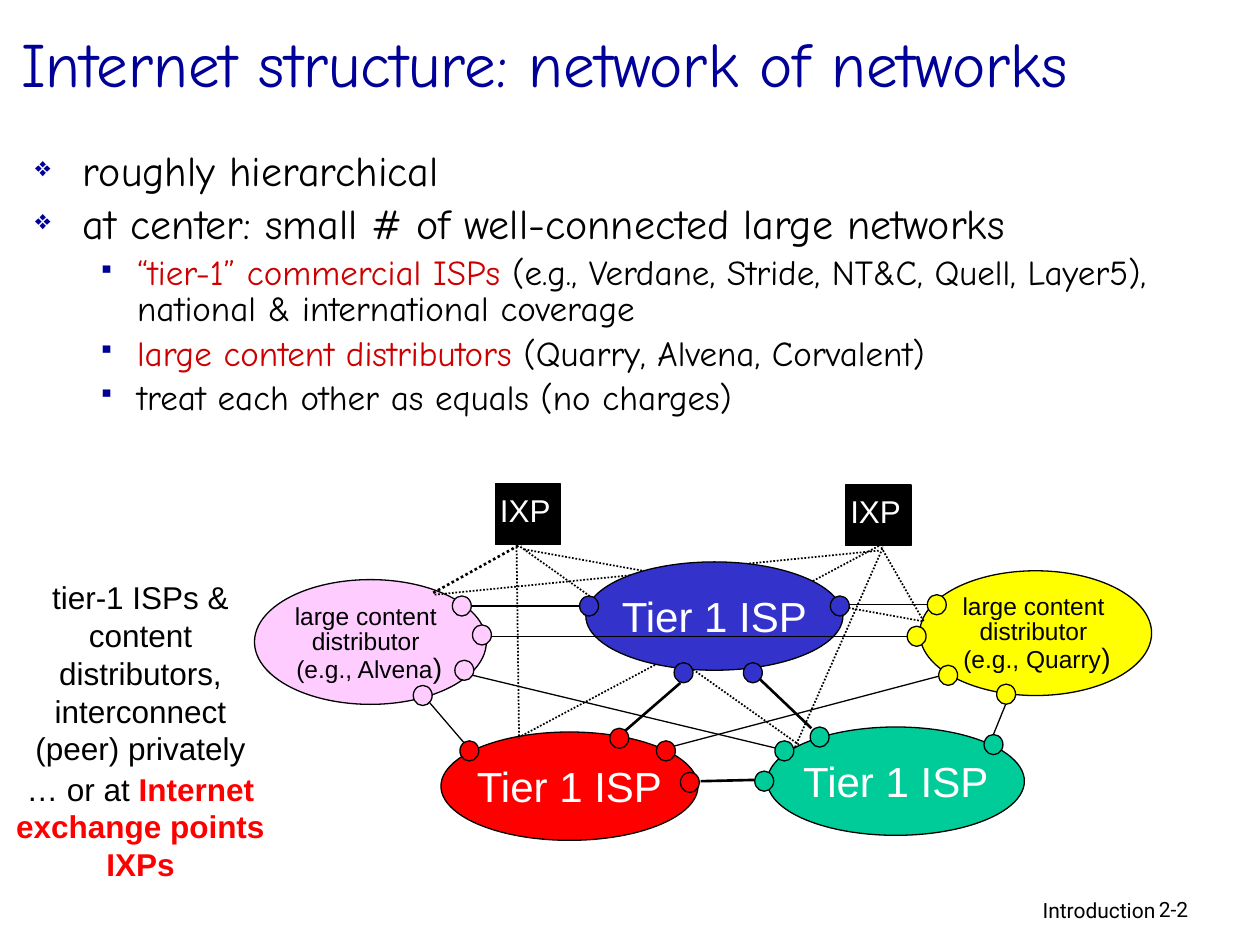
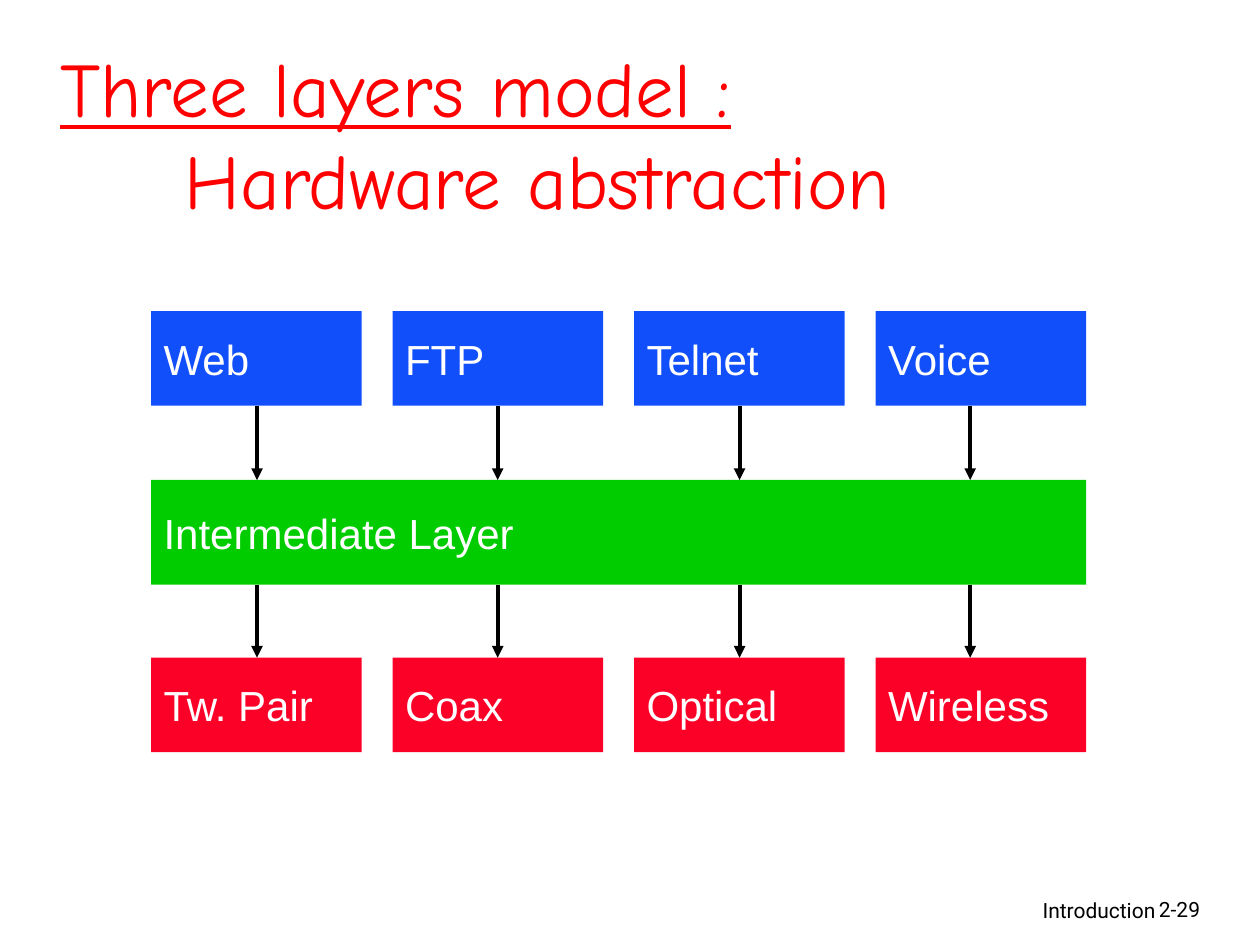
from dataclasses import dataclass

from lxml import etree
from pptx import Presentation
from pptx import util as u
from pptx.dml.color import RGBColor
from pptx.enum import dml, shapes, text
from pptx.oxml import ns

OVAL, RECT = shapes.MSO_SHAPE.OVAL, shapes.MSO_SHAPE.RECTANGLE
CENTER, RIGHT = text.PP_ALIGN.CENTER, text.PP_ALIGN.RIGHT
MIDDLE = text.MSO_ANCHOR.MIDDLE


@dataclass(frozen=True)
class Theme:
    # Fonts
    hand: str = "Comic Neue"
    plain: str = "Arial"
    foot: str = "Roboto"
    # Colours
    black: str = "000000"
    white: str = "FFFFFF"
    navy: str = "000099"
    accent: str = "CC0000"
    red: str = "FF0000"
    teal: str = "00CC99"
    yellow: str = "FFFF00"
    pink: str = "FFCCFF"
    indigo: str = "3333CC"
    app: str = "114FFB"
    middle: str = "00CC00"
    medium: str = "FC0128"
    # Type sizes
    banner: int = 44
    title: int = 36
    label: int = 24
    sub: int = 20
    note: int = 18
    caption: int = 14
    footer: int = 12


T = Theme()


class Deck:
    """Holds the presentation, its theme and the slide being built."""

    def __init__(self):
        self.prs = Presentation()
        self.prs.slide_width, self.prs.slide_height = u.Inches(10), u.Inches(7.5)
        self.s = None

    def slide(self, number):
        self.s = self.prs.slides.add_slide(self.prs.slide_layouts[6])
        foot = dict(size=T.footer, name=T.foot)
        self.text((6.1, 7.07, 3.17, 0.31), ["Introduction"],
                  para=dict(alignment=RIGHT), **foot)
        self.text((9.1, 7.07, 0.74, 0.3), [number], **foot)

    def fill_text(self, tf, paras, para=None, **base):
        """Each paragraph is a string or a list of (text, format) runs."""
        for i, runs in enumerate(paras):
            p = tf.paragraphs[0] if i == 0 else tf.add_paragraph()
            for key, value in (para or {}).items():
                setattr(p, key, value)
            for words, fmt in [(runs, {})] if isinstance(runs, str) else runs:
                r = p.add_run()
                r.text = words
                look = {"name": T.plain, "color": T.black, **base, **fmt}
                r.font.color.rgb = RGBColor.from_string(look.pop("color"))
                look["size"] = u.Pt(look["size"])
                for key, value in look.items():
                    setattr(r.font, key, value)

    def text(self, box, paras, frame=None, **fmt):
        tf = self.s.shapes.add_textbox(*map(u.Inches, box)).text_frame
        for key, value in {"word_wrap": True, **(frame or {})}.items():
            setattr(tf, key, value)
        self.fill_text(tf, paras, **fmt)
        return tf

    def bullets(self, box, items):
        """Each item is (level, runs)."""
        levels = [dict(mark="❖", left=0.38, hang=0.38, size=T.label, before=6),
                  dict(mark="▪", left=0.81, hang=0.31, size=T.sub, before=5)]
        runs = [[(words, {"size": levels[level]["size"], **fmt})
                 for words, fmt in parts] for level, parts in items]
        tf = self.text(box, runs, name=T.hand, para=dict(line_spacing=0.85))
        for i, (p, (level, _)) in enumerate(zip(tf.paragraphs, items)):
            style = levels[level]
            p.level = level
            p.space_before = u.Pt(style["before"] if i else 0)
            self.indent(p, style["left"], -style["hang"])
            pPr = p._p.get_or_add_pPr()
            color = etree.SubElement(pPr, ns.qn("a:buClr"))
            etree.SubElement(color, ns.qn("a:srgbClr"), val=T.navy)
            etree.SubElement(pPr, ns.qn("a:buSzPct"), val="65000")
            etree.SubElement(pPr, ns.qn("a:buChar"), char=style["mark"])

    def indent(self, p, left, first=0):
        pPr = p._p.get_or_add_pPr()
        pPr.set("marL", str(u.Inches(left)))
        pPr.set("indent", str(u.Inches(first)))

    def shape(self, kind, box, fill, label=None, outline=True, para=None):
        sp = self.s.shapes.add_shape(kind, *map(u.Inches, box))
        sp.shadow.inherit = False
        sp.fill.solid()
        sp.fill.fore_color.rgb = RGBColor.from_string(fill)
        if outline:
            sp.line.color.rgb = RGBColor.from_string(T.black)
            sp.line.width = u.Pt(0.75)
        else:
            sp.line.fill.background()
        if label:
            tf = sp.text_frame
            for key, value in dict(word_wrap=False, vertical_anchor=MIDDLE).items():
                setattr(tf, key, value)
            self.fill_text(tf, [label], size=T.label, color=T.white,
                           para=para or dict(alignment=text.PP_ALIGN.LEFT))

    def line(self, x1, y1, x2, y2, width=0.75, dash=None, arrow=False):
        c = self.s.shapes.add_connector(
            shapes.MSO_CONNECTOR.STRAIGHT, *map(u.Inches, (x1, y1, x2, y2)))
        c.line.color.rgb = RGBColor.from_string(T.black)
        c.line.width = u.Pt(width)
        if dash:
            c.line.dash_style = dash
        spPr = c._element.spPr
        if arrow:
            etree.SubElement(spPr.find(ns.qn("a:ln")), ns.qn("a:tailEnd"),
                             type="triangle")
        etree.SubElement(spPr, ns.qn("a:effectLst"))


def internet_structure(d):
    d.slide("2-2")
    d.text((0.07, 0.14, 9.8, 0.71), ["Internet structure: network of networks"],
           frame=dict(vertical_anchor=MIDDLE),
           size=T.title, name=T.hand, color=T.navy)
    key = dict(color=T.accent)
    d.bullets((0.18, 1.16, 9.23, 5.08), [
        (0, [("roughly hierarchical", {})]),
        (0, [("at center: small # of well-connected large networks", {})]),
        (1, [("“tier-1” commercial ISPs ", key),
             ("(e.g., Verdane, Stride, NT&C, Quell, Layer5), "
              "national & international coverage", {})]),
        (1, [("large content distributors", key),
             (" (Quarry, Alvena, Corvalent)", {})]),
        (1, [("treat each other as equals (no charges)", {})]),
    ])

    def tier1(x, y, fill):
        d.shape(OVAL, (x, y, 2.04, 0.86), fill, "Tier 1 ISP",
                para=dict(alignment=CENTER))

    # Networks
    tier1(3.5, 5.81, T.red)
    tier1(6.09, 5.77, T.teal)
    for x, y, fill, label_box, name in [
            (7.3, 4.53, T.yellow, (7.53, 4.68, 1.4, 0.73), "Quarry"),
            (2.02, 4.6, T.pink, (2.22, 4.76, 1.42, 0.73), "Alvena")]:
        d.shape(OVAL, (x, y, 1.84, 0.99), fill)
        d.text(label_box,
               ["large content ", "distributor ",
                [(f"(e.g., {name}", {}), (")", dict(size=16))]],
               frame=dict(word_wrap=False), size=T.caption,
               para=dict(alignment=CENTER, line_spacing=0.85))

    # Exchange points and their dotted links
    for x, y in [(3.93, 3.84), (6.71, 3.85)]:
        d.shape(RECT, (x, y, 0.52, 0.48), T.black)
        d.text((x - 0.06, y + 0.01, 0.6, 0.4), ["IXP"],
               frame=dict(word_wrap=False), size=T.note, color=T.white)
    dots = dml.MSO_LINE.ROUND_DOT
    d.line(4.15, 4.31, 3.43, 4.71, 1.5, dots)
    for ends in [(4.1, 4.34, 4.12, 5.86), (4.13, 4.34, 6.34, 5.91),
                 (4.16, 4.36, 7.32, 4.93), (7.33, 4.93, 6.98, 4.32),
                 (6.31, 5.93, 7.01, 4.34), (4.14, 5.84, 6.98, 4.33),
                 (3.45, 4.72, 6.98, 4.37)]:
        d.line(*ends, 1, dots)
    tier1(4.65, 4.46, T.indigo)

    # Private peering links: thin to distributors, thick between tier-1 ISPs
    peering = {
        0.75: [(5.28, 5.94, 7.59, 5.33), (6.68, 4.8, 7.49, 4.8),
               (4.64, 4.81, 3.66, 4.81), (3.67, 5.34, 6.21, 5.95),
               (8.01, 5.52, 7.86, 5.89), (3.37, 5.53, 3.73, 5.95),
               (3.82, 5.05, 7.28, 5.05)],
        1.5: [(5.56, 6.2, 5.99, 6.19), (6.02, 5.38, 6.44, 5.78),
              (4.95, 5.81, 5.4, 5.42)],
    }
    for width, links in peering.items():
        for ends in links:
            d.line(*ends, width)

    # Ports
    ports = {
        T.teal: [(6.43, 5.77), (5.99, 6.12), (6.15, 5.88), (7.81, 5.83)],
        T.indigo: [(5.9, 5.26), (5.35, 5.26), (6.59, 4.73), (4.6, 4.73)],
        T.red: [(4.84, 5.78), (5.4, 6.13), (5.21, 5.88), (3.65, 5.88)],
        T.yellow: [(7.36, 4.72), (7.91, 5.43), (7.45, 5.28), (7.2, 4.97)],
        T.pink: [(3.59, 4.73), (3.75, 4.96), (3.28, 5.44), (3.61, 5.24)],
    }
    for fill, spots in ports.items():
        for x, y in spots:
            d.shape(OVAL, (x, y, 0.15, 0.16), fill)

    # Side note
    note = dict(size=T.note, para=dict(alignment=CENTER))
    d.text((0, 4.54, 2.23, 1.6),
           ["tier-1 ISPs &",
            "content distributors, interconnect (peer) privately"], **note)
    d.text((0, 6.06, 2.23, 1),
           [[("… or at ", {}),
             ("Internet exchange points IXPs", dict(color=T.red, bold=True))]],
           **note)


def three_layers(d):
    d.slide("2-29")
    tf = d.text((0.38, 0.43, 8.5, 1.25),
                [[("Three layers model :", dict(underline=True))],
                 "Hardware abstraction"],
                frame=dict(vertical_anchor=MIDDLE),
                size=T.banner, name=T.hand, color=T.red)
    d.indent(tf.paragraphs[1], 0.99)

    # Layers
    left, full, wide, high = 1.2, 7.42, 1.67, 0.75
    app_y, middle_y, medium_y, middle_high = 2.47, 3.81, 5.22, 0.83
    step = (full - wide) / 3
    for y, fill, names in [
            (app_y, T.app, ["Web", "FTP", "Telnet", "Voice"]),
            (medium_y, T.medium, ["Tw. Pair", "Coax", "Optical", "Wireless"])]:
        for i, name in enumerate(names):
            d.shape(RECT, (left + i * step, y, wide, high), fill, name, False)
    d.shape(RECT, (left, middle_y, full, middle_high), T.middle,
            "Intermediate Layer", False)

    # Arrows down through the layers
    for x in (2.04, 3.95, 5.87, 7.7):
        for top, bottom in [(app_y + high, middle_y),
                            (middle_y + middle_high, medium_y)]:
            d.line(x, top, x, bottom, 2.25, arrow=True)


def main():
    d = Deck()
    internet_structure(d)
    three_layers(d)
    d.prs.save("out.pptx")


if __name__ == "__main__":
    main()
